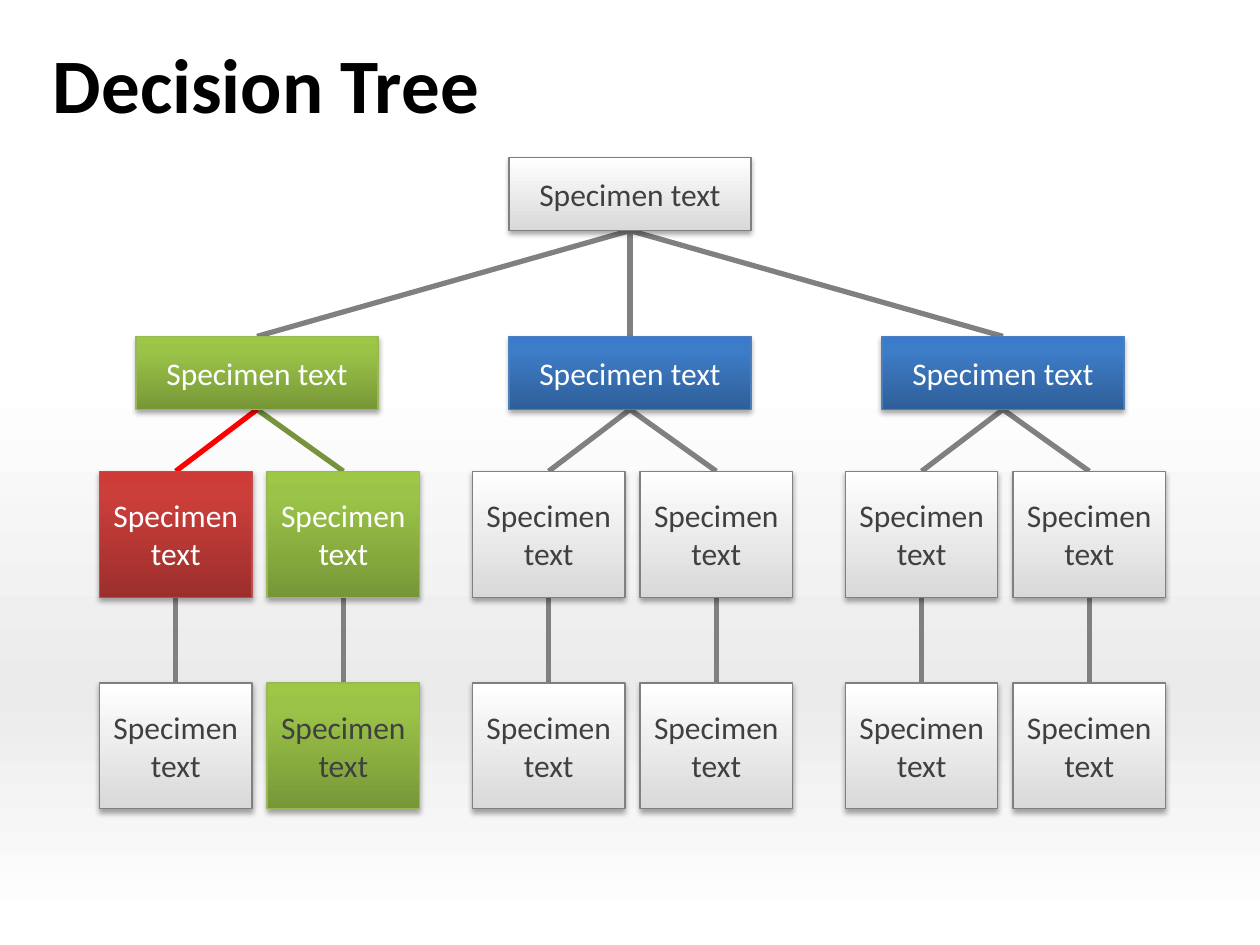
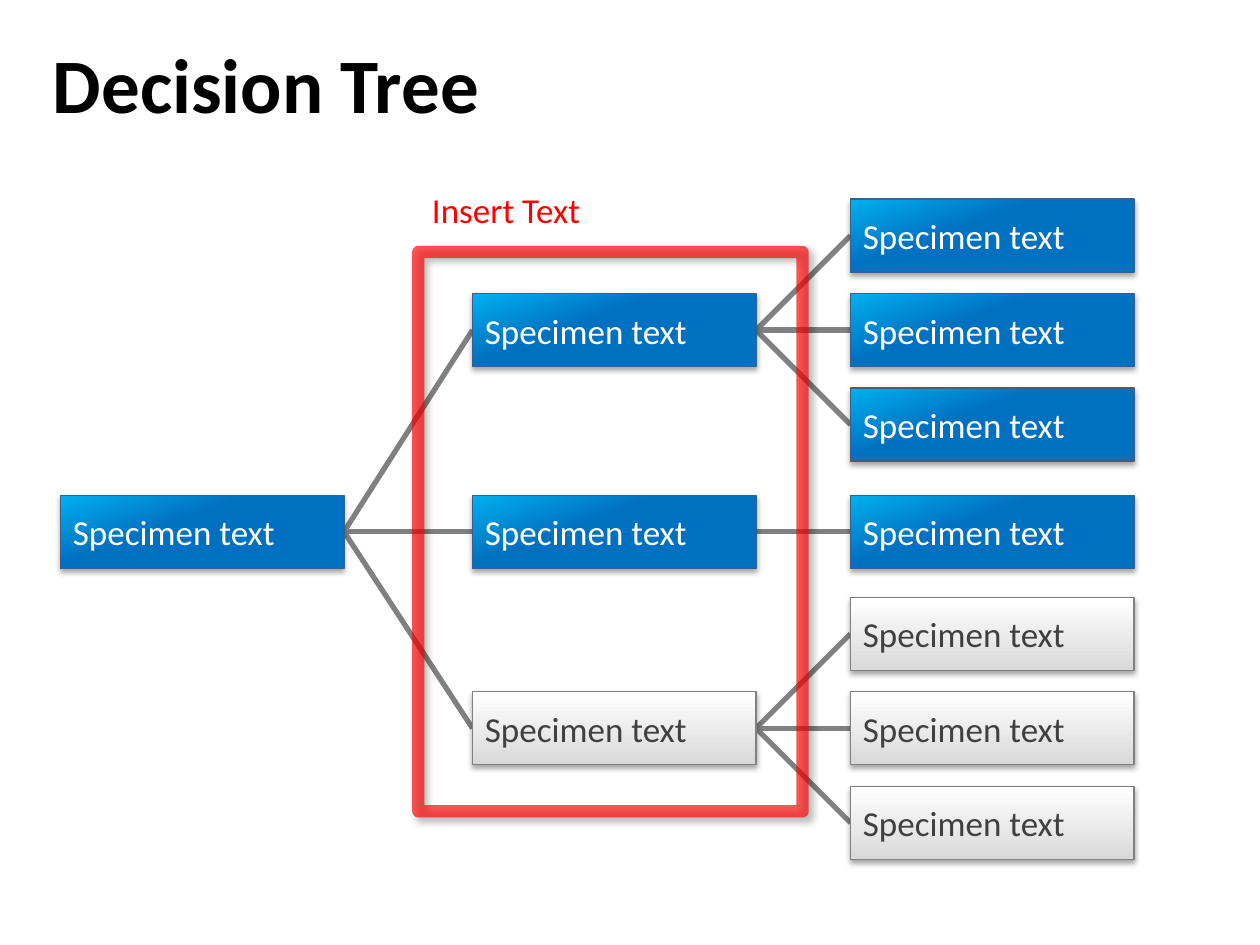
import dataclasses

import pptx
import pptx.dml.color
import pptx.enum.shapes
import pptx.enum.text
import pptx.oxml.ns
import pptx.util
from lxml import etree

Inches = pptx.util.Inches
Pt = pptx.util.Pt
RGBColor = pptx.dml.color.RGBColor
PP_ALIGN = pptx.enum.text.PP_ALIGN
MSO_ANCHOR = pptx.enum.text.MSO_ANCHOR
RECTANGLE = pptx.enum.shapes.MSO_SHAPE.RECTANGLE
STRAIGHT = pptx.enum.shapes.MSO_CONNECTOR.STRAIGHT
qn = pptx.oxml.ns.qn

FONT = "Calibri"
LABEL = "Specimen text"
WHITE = RGBColor(0xFF, 0xFF, 0xFF)
BLACK = RGBColor(0x00, 0x00, 0x00)
CHARCOAL = RGBColor(0x40, 0x40, 0x40)
GRAY = RGBColor(0x80, 0x80, 0x80)
SILVER = RGBColor(0xD9, 0xD9, 0xD9)
MIST = RGBColor(0xEB, 0xEB, 0xEB)
RED = RGBColor(0xFF, 0x00, 0x00)
OLIVE = RGBColor(0x77, 0x93, 0x3C)
GREEN_DARK = RGBColor(0x77, 0x97, 0x37)
GREEN_MID = RGBColor(0x9B, 0xC3, 0x48)
GREEN_LIGHT = RGBColor(0x9D, 0xC7, 0x46)
GREEN_EDGE = RGBColor(0x98, 0xB9, 0x55)
BRICK_DARK = RGBColor(0x9C, 0x2F, 0x2D)
BRICK_MID = RGBColor(0xCB, 0x3E, 0x3A)
BRICK_LIGHT = RGBColor(0xCE, 0x3B, 0x37)
BRICK_EDGE = RGBColor(0xBF, 0x4C, 0x48)
BLUE_DARK = RGBColor(0x2F, 0x5F, 0x99)
BLUE_MID = RGBColor(0x3D, 0x7C, 0xC7)
BLUE_LIGHT = RGBColor(0x3A, 0x7C, 0xCB)
BLUE_EDGE = RGBColor(0x4B, 0x7E, 0xBC)
SKY = RGBColor(0x00, 0xB0, 0xF0)
AZURE = RGBColor(0x00, 0x70, 0xC0)
NAVY = RGBColor(0x37, 0x60, 0x92)

TOP, LEFT, BOTTOM, RIGHT = range(4)
NODE_HEIGHT = 0.58


@dataclasses.dataclass(frozen=True)
class NodeStyle:
    stops: tuple
    edge: RGBColor
    text: RGBColor = WHITE
    angle: int = 270


PLAIN = NodeStyle(((0, SILVER), (100, WHITE)), GRAY, CHARCOAL)
GREEN = NodeStyle(((0, GREEN_DARK), (80, GREEN_MID), (100, GREEN_LIGHT)), GREEN_EDGE)
GREEN_RESULT = dataclasses.replace(GREEN, text=CHARCOAL)
BRICK = NodeStyle(((0, BRICK_DARK), (80, BRICK_MID), (100, BRICK_LIGHT)), BRICK_EDGE)
BLUE = NodeStyle(((0, BLUE_DARK), (80, BLUE_MID), (100, BLUE_LIGHT)), BLUE_EDGE)
BRIGHT = NodeStyle(((0, SKY), (40, AZURE), (99, AZURE)), NAVY, angle=70)


def set_gradient(owner, fill, stops, angle):
    fill.gradient()
    fill.gradient_angle = 360 - angle
    stop_list = owner.element.find(".//" + qn("a:gsLst"))
    for old_stop in list(stop_list):
        stop_list.remove(old_stop)
    for position, color in stops:
        stop = etree.SubElement(stop_list, qn("a:gs"), pos=str(position * 1000))
        etree.SubElement(stop, qn("a:srgbClr"), val=str(color))


def add_shadow(shape, opacity, blur, distance, angle):
    shape.shadow.inherit = False
    effects = shape.element.spPr.find(qn("a:effectLst"))
    shadow = etree.SubElement(
        effects, qn("a:outerShdw"), blurRad=str(Pt(blur)), dist=str(Pt(distance)),
        dir=str(angle * 60000), rotWithShape="0")
    color = etree.SubElement(shadow, qn("a:srgbClr"), val=str(BLACK))
    etree.SubElement(color, qn("a:alpha"), val=str(opacity * 1000))


def write_text(shape, text, size, color, alignment=PP_ALIGN.LEFT, bold=False):
    paragraph = shape.text_frame.paragraphs[0]
    paragraph.text = text
    paragraph.alignment = alignment
    paragraph.font.name = FONT
    paragraph.font.size = Pt(size)
    paragraph.font.bold = bold
    paragraph.font.color.rgb = color


def add_node(slide, box, style, size, alignment=PP_ALIGN.LEFT):
    node = slide.shapes.add_shape(RECTANGLE, *map(Inches, box))
    set_gradient(node, node.fill, style.stops, style.angle)
    node.line.color.rgb = style.edge
    node.line.width = Pt(0.75)
    add_shadow(node, 35, 3.1, 1.8, 90)
    node.text_frame.vertical_anchor = MSO_ANCHOR.MIDDLE
    write_text(node, LABEL, size, style.text, alignment)
    return node


def join(slide, parent, child, sides, color=GRAY):
    connector = slide.shapes.add_connector(STRAIGHT, 0, 0, 0, 0)
    connector.begin_connect(parent, sides[0])
    connector.end_connect(child, sides[1])
    connector.line.color.rgb = color
    connector.line.width = Pt(3)
    etree.SubElement(connector.element.spPr, qn("a:effectLst"))
    slide.shapes.element.insert(2, connector.element)


def add_titled_slide(presentation):
    slide = presentation.slides.add_slide(presentation.slide_layouts[5])
    title = slide.shapes.title
    title.left, title.top = Inches(0.32), Inches(0.24)
    title.width, title.height = Inches(3.62), Inches(0.84)
    title.text_frame.word_wrap = False
    title.text_frame.auto_size = pptx.enum.text.MSO_AUTO_SIZE.SHAPE_TO_FIT_TEXT
    write_text(title, "Decision Tree", 44, BLACK, bold=True)
    return slide


def add_branch(slide, left, top, root, head_style, children):
    down = (BOTTOM, TOP)
    head = add_node(slide, (left + 0.29, top, 1.92, NODE_HEIGHT), head_style, 18, PP_ALIGN.CENTER)
    join(slide, root, head, down)
    for index, (choice_style, result_style, color) in enumerate(children):
        child_left = left + index * 1.33
        choice, result = [
            add_node(slide, (child_left, top + drop, 1.21, 1), style, 18, PP_ALIGN.CENTER)
            for drop, style in ((1.07, choice_style), (2.75, result_style))]
        join(slide, head, choice, down, color)
        join(slide, choice, result, down)


def build_vertical_tree(presentation):
    slide = add_titled_slide(presentation)
    set_gradient(slide, slide.background.fill, ((2, WHITE), (27, MIST), (60, WHITE)), 270)
    root = add_node(slide, (4.04, 1.25, 1.92, NODE_HEIGHT), PLAIN, 18, PP_ALIGN.CENTER)
    plain_pair = ((PLAIN, PLAIN, GRAY),) * 2
    branches = (
        (GREEN, ((BRICK, PLAIN, RED), (GREEN, GREEN_RESULT, OLIVE))),
        (BLUE, plain_pair),
        (BLUE, plain_pair),
    )
    for index, (head_style, children) in enumerate(branches):
        add_branch(slide, 0.79 + index * 2.96, 2.67, root, head_style, children)


def add_option(slide, left, top, root, style, leaf_drops):
    across = (RIGHT, LEFT)
    option = add_node(slide, (left, top, 2.25, NODE_HEIGHT), style, 20)
    join(slide, root, option, across)
    for drop in leaf_drops:
        leaf = add_node(slide, (left + 3, top + drop, 2.25, NODE_HEIGHT), style, 20)
        join(slide, option, leaf, across)


def add_highlight(slide, left, top, width, height):
    frame = slide.shapes.add_shape(RECTANGLE, *map(Inches, (left, top, width, height)))
    frame.fill.background()
    frame.line.color.rgb = RED
    frame.line.width = Pt(7)
    line = frame.element.spPr.find(qn("a:ln"))
    color = line.find(".//" + qn("a:srgbClr"))
    etree.SubElement(color, qn("a:alpha"), val="65000")
    etree.SubElement(line, qn("a:round"))
    add_shadow(frame, 40, 4, 3, 45)

    caption = slide.shapes.add_textbox(*map(Inches, (left + 0.01, top - 0.55, 1.39, 0.44)))
    caption.text_frame.word_wrap = False
    write_text(caption, "Insert Text", 20, RED)


def build_horizontal_tree(presentation):
    slide = add_titled_slide(presentation)
    slide.background.fill.solid()
    slide.background.fill.fore_color.rgb = WHITE
    root = add_node(slide, (0.48, 3.93, 2.25, NODE_HEIGHT), BRIGHT, 20)
    fan = (-0.75, 0, 0.75)
    for top, style, leaf_drops in ((2.33, BRIGHT, fan), (3.93, BRIGHT, (0,)), (5.49, PLAIN, fan)):
        add_option(slide, 3.75, top, root, style, leaf_drops)
    add_highlight(slide, 3.32, 2, 3.05, 4.44)


def main():
    presentation = pptx.Presentation()
    presentation.slide_width = Inches(10)
    presentation.slide_height = Inches(7.5)
    build_vertical_tree(presentation)
    build_horizontal_tree(presentation)
    presentation.save("out.pptx")


if __name__ == "__main__":
    main()
